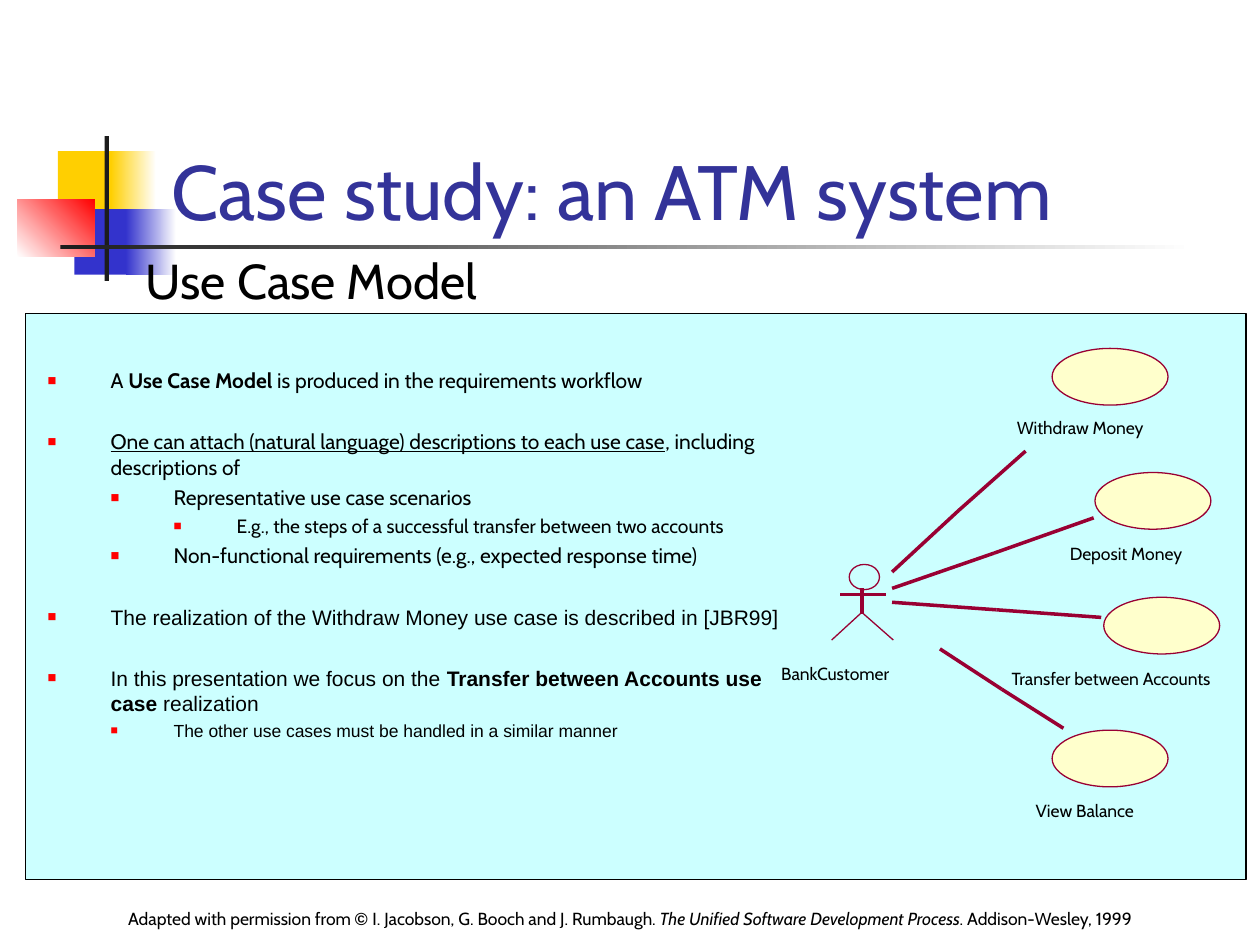
import pptx
import pptx.dml.color
import pptx.enum.shapes
import pptx.enum.text
import pptx.oxml.ns
import pptx.util
from lxml import etree

RGB = pptx.dml.color.RGBColor
SHAPE = pptx.enum.shapes.MSO_SHAPE
ALIGN = pptx.enum.text.PP_ALIGN
ANCHOR = pptx.enum.text.MSO_ANCHOR
AUTO = pptx.enum.text.MSO_AUTO_SIZE
qn = pptx.oxml.ns.qn
Pt = pptx.util.Pt

BLACK = RGB(0x00, 0x00, 0x00)
WHITE = RGB(0xFF, 0xFF, 0xFF)
YELLOW = RGB(0xFF, 0xCF, 0x01)
BLUE = RGB(0x33, 0x33, 0xCC)
RED = RGB(0xFF, 0x00, 0x00)
CHARCOAL = RGB(0x1C, 0x1C, 0x1C)
TITLE_BLUE = RGB(0x33, 0x33, 0x99)
PANEL = RGB(0xCC, 0xFF, 0xFF)
CREAM = RGB(0xFF, 0xFF, 0xCC)
WINE = RGB(0x99, 0x00, 0x33)

COLUMNS, ROWS = 100, 75


def write(p, text, size=12, font="Cabin", color=BLACK, **fmt):
    """Add a run to p; fmt may hold bold, italic and underline."""
    r = p.add_run()
    r.text = text
    r.font.size, r.font.name, r.font.color.rgb = Pt(size), font, color
    for name, value in fmt.items():
        setattr(r.font, name, value)


def add_bullet(p, level):
    pPr = p._p.get_or_add_pPr()
    half_inch = pptx.util.Inches(0.5)
    pPr.set("marL", str(half_inch * (level + 1)))
    pPr.set("indent", str(-half_inch))
    color = etree.SubElement(pPr, qn("a:buClr"))
    etree.SubElement(color, qn("a:srgbClr"), val=str(RED))
    etree.SubElement(pPr, qn("a:buSzPct"), val="70000")
    etree.SubElement(pPr, qn("a:buFont"), typeface="Arial")
    etree.SubElement(pPr, qn("a:buChar"), char="■")


class Canvas:
    """Draws on one slide; lengths are grid columns and rows."""

    def __init__(self, prs):
        self.s = prs.slides.add_slide(prs.slide_layouts[5])
        self.col = prs.slide_width / COLUMNS
        self.row = prs.slide_height / ROWS

    def place(self, x, y, w, h):
        return (round(x * self.col), round(y * self.row),
                round(w * self.col), round(h * self.row))

    def shape(self, kind, box, fill=None, fade=None, angle=0, line=None, width=0):
        sp = self.s.shapes.add_shape(kind, *self.place(*box))
        sp.shadow.inherit = False
        if fade:
            sp.fill.gradient()
            sp.fill.gradient_angle = angle
            for stop, color, position in zip(sp.fill.gradient_stops, (fill, fade), (0, 1)):
                stop.color.rgb, stop.position = color, position
        elif fill:
            sp.fill.solid()
            sp.fill.fore_color.rgb = fill
        else:
            sp.fill.background()
        self.outline(sp, line, width)

    def outline(self, sp, color, width=0):
        if color:
            sp.line.color.rgb, sp.line.width = color, Pt(width)
        else:
            sp.line.fill.background()

    def line(self, start, end):
        x1, y1, x2, y2 = self.place(*start, *end)
        sp = self.s.shapes.add_connector(
            pptx.enum.shapes.MSO_CONNECTOR.STRAIGHT, x1, y1, x2, y2)
        etree.SubElement(sp._element.spPr, qn("a:effectLst"))
        self.outline(sp, WINE)

    def polyline(self, *points):
        corners = [self.place(*point, 0, 0)[:2] for point in points]
        builder = self.s.shapes.build_freeform(*corners[0])
        builder.add_line_segments(corners[1:], close=False)
        sp = builder.convert_to_shape()
        sp.shadow.inherit = False
        sp.fill.background()
        self.outline(sp, WINE)

    def text_box(self, box, wrap=True, inset=True, anchor=ANCHOR.TOP):
        tf = self.s.shapes.add_textbox(*self.place(*box)).text_frame
        tf.word_wrap, tf.vertical_anchor = wrap, anchor
        if not inset:
            tf.margin_left = tf.margin_right = tf.margin_top = tf.margin_bottom = 0
        return tf

    def label(self, text, box, size=10, inset=False):
        tf = self.text_box(box, wrap=False, inset=inset)
        tf.auto_size = AUTO.SHAPE_TO_FIT_TEXT
        write(tf.paragraphs[0], text, size)

    def bullets(self, box, items):
        tf = self.text_box(box)
        for i, (level, space, runs) in enumerate(items):
            p = tf.add_paragraph() if i else tf.paragraphs[0]
            p.level = level
            add_bullet(p, level)
            if i:
                p.space_before = Pt(space)
            for text, fmt in runs:
                write(p, text, **fmt)

    def title(self, text, box):
        sp = self.s.shapes.title
        sp.left, sp.top, sp.width, sp.height = self.place(*box)
        tf = sp.text_frame
        tf.vertical_anchor, tf.auto_size = ANCHOR.BOTTOM, AUTO.NONE
        p = tf.paragraphs[0]
        p.alignment = ALIGN.LEFT
        write(p, text, 44, color=TITLE_BLUE)
        sp._element.getparent().append(sp._element)  # in front of the squares


DECORATION = [  # box, fill, fade, angle
    ((4.6, 12, 4.8, 5.2), YELLOW, None, 0),
    ((8.8, 12, 3.6, 5.2), YELLOW, WHITE, 0),
    ((5.9, 16.6, 4.6, 5.2), BLUE, None, 0),
    ((10, 16.6, 4, 5.2), BLUE, WHITE, 0),
    ((1.4, 15.8, 6.1, 4.6), WHITE, RED, 45),
    ((8.3, 10.8, 0.35, 11.5), CHARCOAL, None, 0),
    ((4.8, 19.45, 90, 0.35), CHARCOAL, WHITE, 0),
]

USE_CASES = [  # name, ellipse corner, label corner and width
    ("Withdraw Money", (83.5, 27.65), (80.7, 33.1, 11.1)),
    ("Deposit Money", (86.9, 37.5), (84.9, 43.1, 9.8)),
    ("Transfer between Accounts", (87.6, 47.4), (80.3, 53, 17.7)),
    ("View Balance", (83.5, 57.95), (82.2, 63.5, 8.5)),
]

ASSOCIATIONS = [  # customer end, middle, use case end
    ((70.8, 45.4), (76.1, 40.5), (81.4, 35.8)),
    ((70.8, 46.7), (78.9, 43.9), (86.8, 41.1)),
    ((70.8, 47.8), (79.1, 48.4), (87.4, 49)),
    ((74.6, 51.5), (79.5, 54.7), (84.4, 57.8)),
]

ARIAL = {"font": "Arial"}
GAP = 20.5
NOTES = [  # level, space before, runs
    (0, 0, [("A ", {}), ("Use Case Model ", {"bold": True}),
            ("is produced in the requirements workflow", {})]),
    (0, GAP, [("One can attach (natural language) descriptions to each use case",
               {"underline": True}), (", including descriptions of", {})]),
    (1, 3, [("Representative use case scenarios", {})]),
    (2, 2.8, [("E.g., the steps of a successful transfer between two accounts",
               {"size": 11})]),
    (1, 3, [("Non-functional requirements (e.g., expected response time)", {})]),
    (0, GAP, [("The realization of the Withdraw Money use case is described in [JBR99]",
               ARIAL)]),
    (0, GAP, [("In this presentation we focus on the ", ARIAL),
              ("Transfer between Accounts use case ", {**ARIAL, "bold": True}),
              ("realization", ARIAL)]),
    (1, 2.5, [("The other use cases must be handled in a similar manner",
               {**ARIAL, "size": 10})]),
]

CREDIT = [
    ("Adapted with permission from ", {}),
    ("© ", {**ARIAL, "bold": True}),
    ("I. Jacobson, G. Booch and J. Rumbaugh. ", {}),
    ("The Unified Software Development Process", {"italic": True}),
    (". Addison-Wesley, 1999", {}),
]


def main():
    prs = pptx.Presentation()
    prs.slide_width, prs.slide_height = pptx.util.Inches(10), pptx.util.Inches(7.5)
    c = Canvas(prs)

    for box, fill, fade, angle in DECORATION:
        c.shape(SHAPE.RECTANGLE, box, fill, fade, angle)
    c.shape(SHAPE.RECTANGLE, (2, 24.9, 96.9, 44.9), PANEL, line=BLACK, width=0.75)

    for name, corner, (x, y, w) in USE_CASES:
        c.shape(SHAPE.OVAL, (*corner, 9.2, 4.5), CREAM, line=WINE)
        c.label(name, (x, y, w, 1.7))

    c.shape(SHAPE.OVAL, (67.4, 44.8, 2.4, 2), line=WINE)
    c.line((68.4, 46.7), (68.4, 48.7))
    c.line((66.7, 47.2), (70.3, 47.2))
    c.polyline((66, 50.8), (68.4, 48.6), (70.9, 50.8))
    c.label("BankCustomer", (62, 52.6, 8.7, 1.7))
    for customer, middle, use_case in ASSOCIATIONS:
        c.line(middle, use_case)
        c.line(middle, customer)

    c.bullets((2.8, 28.7, 60.6, 37.3), NOTES)
    p = c.text_box((5.1, 71.4, 89.8, 2.8), anchor=ANCHOR.BOTTOM).paragraphs[0]
    p.alignment = ALIGN.CENTER
    for text, fmt in CREDIT:
        write(p, text, **{"size": 10, **fmt})
    c.title("Case study: an ATM system", (12.6, 6.7, 85.2, 12.5))
    c.label("Use Case Model", (10.6, 19.4, 31, 5.7), size=28, inset=True)
    prs.save("out.pptx")


if __name__ == "__main__":
    main()
